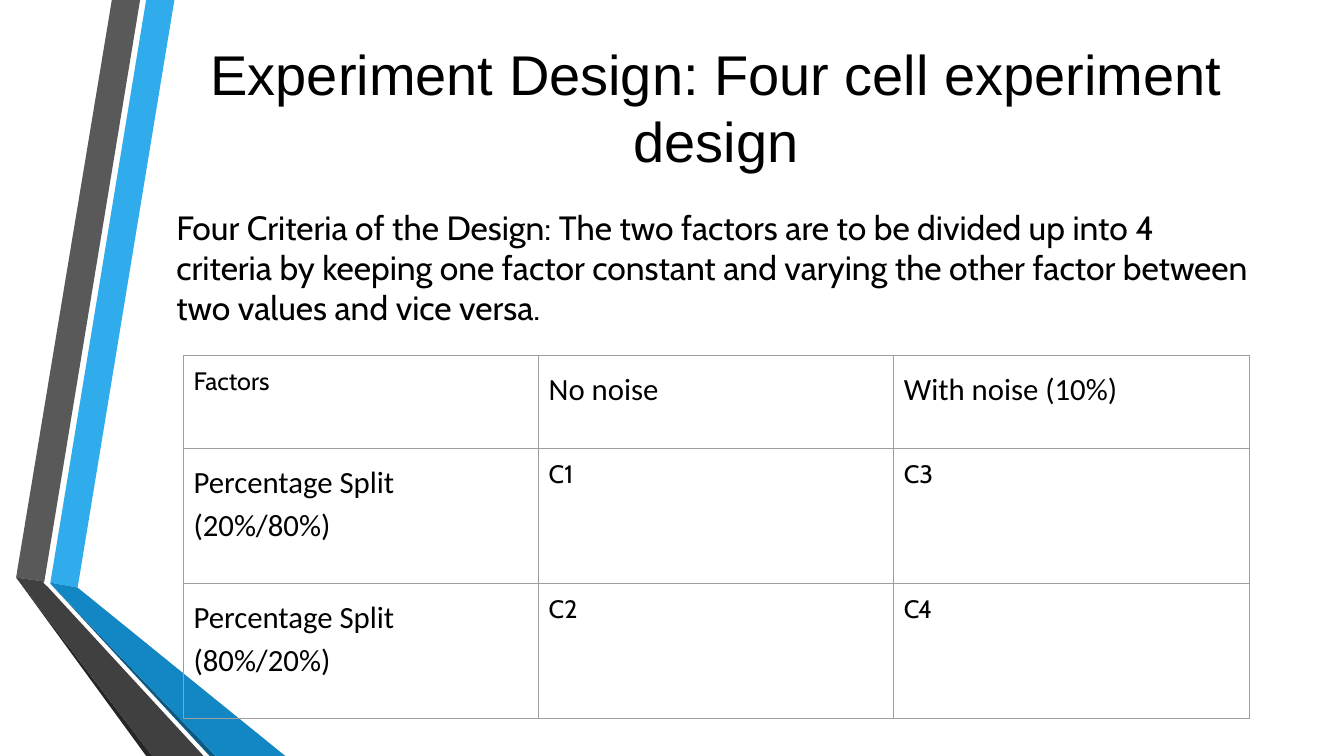
from collections import namedtuple

from lxml.etree import SubElement
from pptx import Presentation
from pptx.dml.color import RGBColor
from pptx.enum.text import MSO_ANCHOR, MSO_AUTO_SIZE, PP_ALIGN
from pptx.oxml.ns import qn
from pptx.util import Inches, Pt

Box = namedtuple("Box", "left top width height")
SLIDE = Box(0, 0, Inches(13.33), Inches(7.5))

COLORS = {
    "text": "000000",
    "border": "9E9E9E",
    "blue": "30ACEC",
    "blue_fold": "1287C3",
    "blue_edge": "0C5A82",
    "gray": "595959",
    "gray_fold": "404040",
    "gray_edge": "262626",
}

RIBBON_FACETS = [
    ("blue", [(12.73, 77.07), (22.85, 77.73), (58.8, 0), (48.31, 0)]),
    ("gray", [(46.07, 0), (35.58, 0), (0, 76.4), (10.49, 76.93)]),
    ("gray_edge", [(0, 76.4), (48.31, 100), (50.56, 100)]),
    ("blue_edge", [(12.73, 77.2), (71.91, 100), (74.16, 100)]),
    ("blue_fold", [(12.73, 77.07), (12.73, 77.2), (74.16, 100), (100, 100), (22.85, 77.73)]),
    ("gray_fold", [(69.66, 100), (11.99, 77.73), (10.11, 77.07), (10.49, 76.93),
                   (0, 76.4), (50.56, 100)]),
]

FACTOR_ROWS = [
    ["Factors", "No noise", "With noise (10%)"],
    ["Percentage Split (20%/80%)", "C1", "C3"],
    ["Percentage Split (80%/20%)", "C2", "C4"],
]
ROW_WEIGHTS = [0.92, 1.34, 1.34]


def share(box, left, top, width, height):
    return Box(
        round(box.left + box.width * left / 100),
        round(box.top + box.height * top / 100),
        round(box.width * width / 100),
        round(box.height * height / 100),
    )


def color(name):
    return RGBColor.from_string(COLORS[name])


def add_run(paragraph, text, font_name, size):
    run = paragraph.add_run()
    run.text = text
    run.font.name = font_name
    run.font.size = Pt(size)
    run.font.color.rgb = color("text")


def set_margins(holder, inches):
    for side in ("left", "top", "right", "bottom"):
        setattr(holder, f"margin_{side}", Inches(inches))


def place_placeholder(shape, box, anchor):
    shape.left, shape.top, shape.width, shape.height = box
    frame = shape.text_frame
    frame.word_wrap = True
    frame.auto_size = MSO_AUTO_SIZE.NONE
    frame.vertical_anchor = anchor
    set_margins(frame, 0.13)
    return frame.paragraphs[0]


def add_ribbon(slide, box):
    group = slide.shapes.add_group_shape()
    for fill, points in RIBBON_FACETS:
        corners = [share(box, x, y, 0, 0)[:2] for x, y in points]
        builder = group.shapes.build_freeform(*corners[0])
        builder.add_line_segments(corners[1:], close=True)
        facet = builder.convert_to_shape()
        facet.shadow.inherit = False
        facet.fill.solid()
        facet.fill.fore_color.rgb = color(fill)
        facet.line.fill.background()
    slide.shapes._spTree.insert(2, group._element)


def fill_title(slide, box):
    paragraph = place_placeholder(slide.shapes.title, box, MSO_ANCHOR.MIDDLE)
    paragraph.alignment = PP_ALIGN.CENTER
    add_run(paragraph, "Experiment Design: Four cell experiment design", "Arial", 40)


def fill_body(slide, box):
    paragraph = place_placeholder(slide.placeholders[1], box, MSO_ANCHOR.TOP)
    properties = paragraph._p.get_or_add_pPr()
    properties.set("marL", "0")
    properties.set("indent", "0")
    SubElement(properties, qn("a:buNone"))
    paragraph.space_before = Pt(0)
    paragraph.space_after = Pt(6)
    add_run(
        paragraph,
        "Four Criteria of the Design: The two factors are to be divided up into 4 "
        "criteria by keeping one factor constant and varying the other factor between "
        "two values and vice versa.",
        "Cabin",
        24,
    )


def add_borders(cell):
    properties = cell._tc.get_or_add_tcPr()
    for position, tag in enumerate(("a:lnL", "a:lnR", "a:lnT", "a:lnB")):
        line = SubElement(properties, qn(tag), w=str(Pt(0.75)))
        fill = SubElement(line, qn("a:solidFill"))
        SubElement(fill, qn("a:srgbClr"), val=COLORS["border"])
        properties.insert(position, line)


def fill_cell(cell, text):
    cell.fill.background()
    add_borders(cell)
    set_margins(cell, 0.1)
    cell.vertical_anchor = MSO_ANCHOR.TOP
    paragraph = cell.text_frame.paragraphs[0]
    if "oise" in text or "Split" in text:
        paragraph.line_spacing = 1.15
        add_run(paragraph, text, "Calibri", 22)
    else:
        add_run(paragraph, text, "Cabin", 18)


def add_factor_table(slide, box):
    table = slide.shapes.add_table(len(FACTOR_ROWS), len(FACTOR_ROWS[0]), *box).table
    table.first_row = False
    table.horz_banding = False
    for row, weight, texts in zip(table.rows, ROW_WEIGHTS, FACTOR_ROWS):
        row.height = round(box.height * weight / sum(ROW_WEIGHTS))
        for cell, text in zip(row.cells, texts):
            fill_cell(cell, text)


def build_experiment_slide(presentation, box):
    slide = presentation.slides.add_slide(presentation.slide_layouts[1])
    add_ribbon(slide, share(box, 1.2, 0, 20.03, 100))
    fill_title(slide, share(box, 12.15, 1.33, 82.22, 25.6))
    fill_body(slide, share(box, 12.15, 25.6, 82.22, 45.6))
    add_factor_table(slide, share(box, 13.65, 47.07, 79.29, 48))


def main():
    presentation = Presentation()
    presentation.slide_width = SLIDE.width
    presentation.slide_height = SLIDE.height
    build_experiment_slide(presentation, SLIDE)
    presentation.save("out.pptx")


if __name__ == "__main__":
    main()
